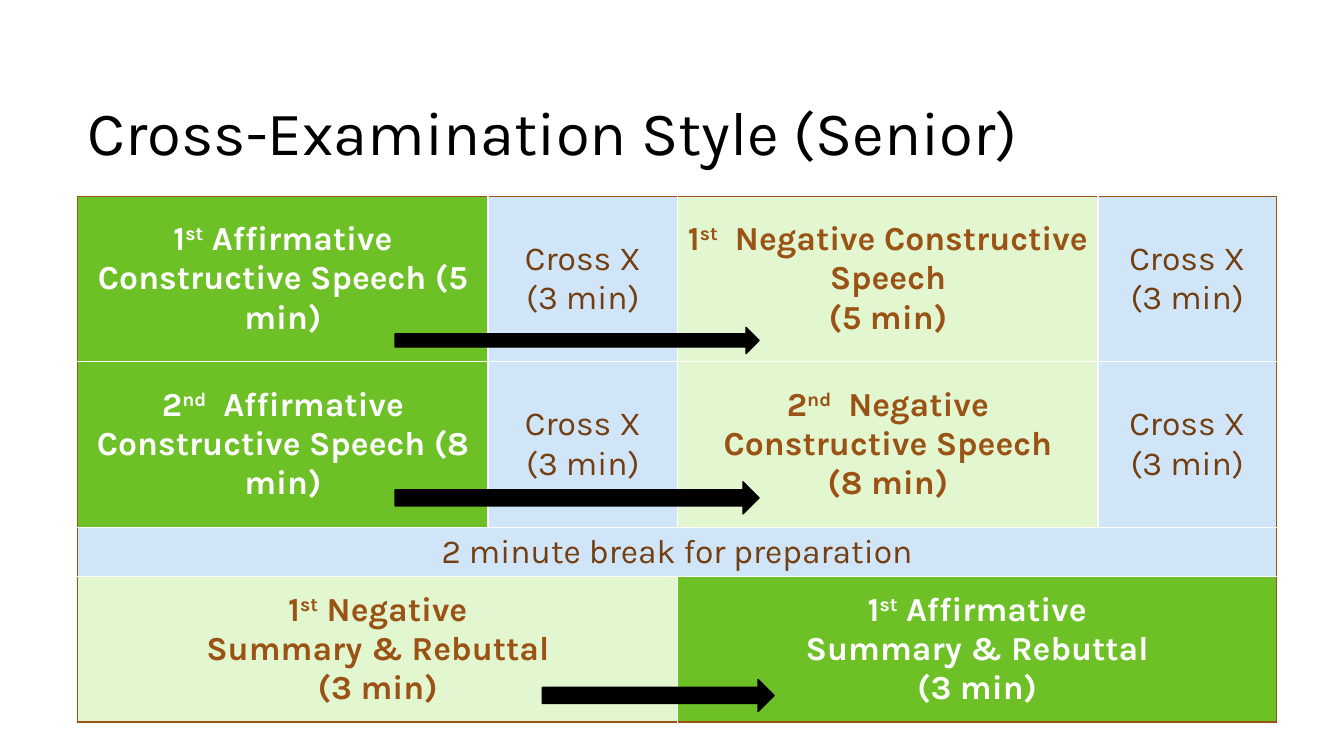
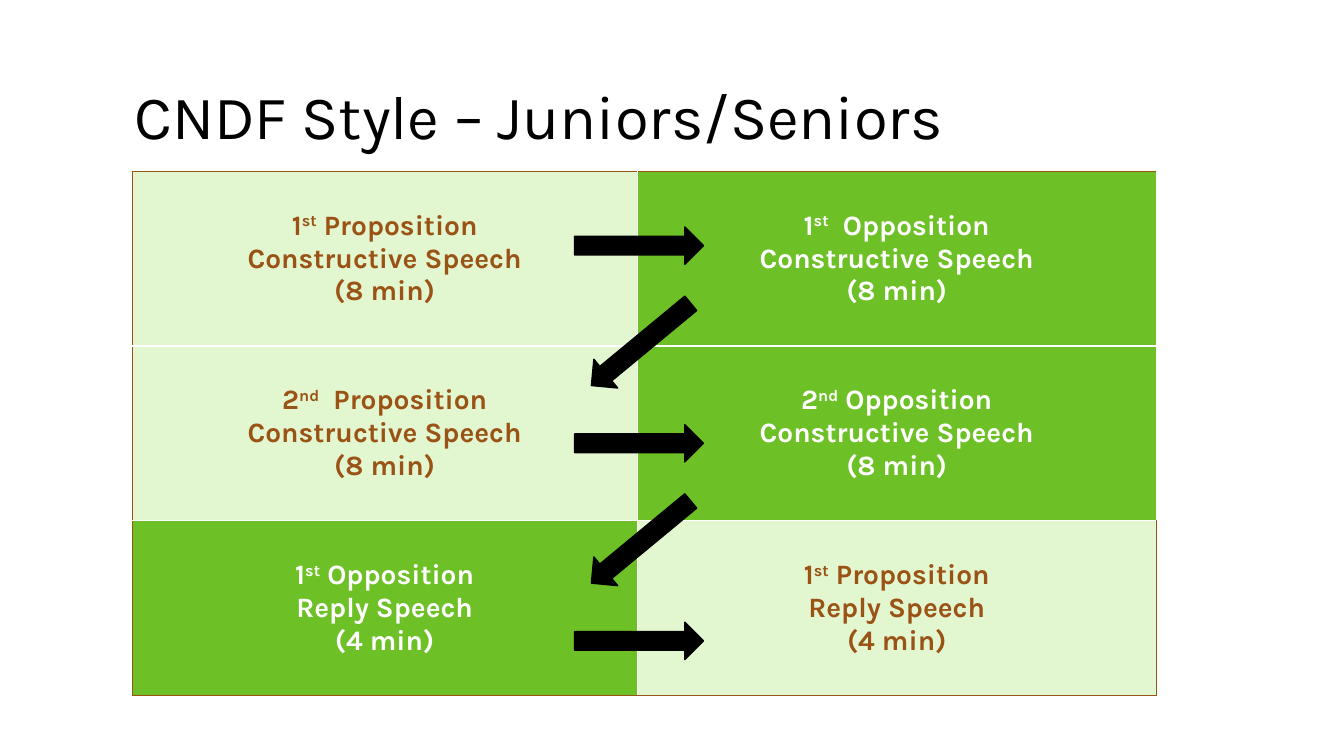
from lxml.etree import SubElement
from pptx import Presentation
from pptx.dml.color import RGBColor
from pptx.enum.shapes import MSO_SHAPE
from pptx.enum.text import MSO_ANCHOR, MSO_AUTO_SIZE, PP_ALIGN
from pptx.oxml.ns import qn
from pptx.util import Cm, Pt

BLACK = RGBColor(0x00, 0x00, 0x00)
WHITE = RGBColor(0xFF, 0xFF, 0xFF)
GREEN = RGBColor(0x6D, 0xC0, 0x25)
PALE = RGBColor(0xE2, 0xF6, 0xD0)
BLUE = RGBColor(0xD1, 0xE5, 0xF9)
BROWN = RGBColor(0x9A, 0x53, 0x15)
DARK = RGBColor(0x73, 0x3E, 0x10)
FONT = "Karla"
STYLES = {
    "dark": (GREEN, WHITE, True),
    "light": (PALE, BROWN, True),
    "break": (BLUE, DARK, False),
}


def write(frame, text, size=24, ink=BLACK, bold=False, align=PP_ALIGN.LEFT, lead=1.0):
    for i, line in enumerate(text.split("\n")):
        para = frame.add_paragraph() if i else frame.paragraphs[0]
        para.alignment = align
        para.line_spacing = lead
        for j, part in enumerate(line.split("^")):
            if not part:
                continue
            run = para.add_run()
            run.text = part
            run.font.name = FONT
            run.font.size = Pt(size)
            run.font.bold = bold
            run.font.color.rgb = ink
            if j % 2:
                run._r.get_or_add_rPr().set("baseline", "30000")


def add_title(slide, text, left, top, width, height):
    title = slide.shapes.title
    title.left, title.top = Cm(left), Cm(top)
    title.width, title.height = Cm(width), Cm(height)
    frame = title.text_frame
    frame.word_wrap = True
    frame.auto_size = MSO_AUTO_SIZE.NONE
    frame.vertical_anchor = MSO_ANCHOR.BOTTOM
    write(frame, text, size=44, lead=0.9)


def set_edges(cell, outer):
    props = cell._tc.get_or_add_tcPr()
    for side in "LRTB":
        line = SubElement(props, qn(f"a:ln{side}"), w=str(Pt(1)))
        fill = SubElement(line, qn("a:solidFill"))
        tone = BROWN if side in outer else WHITE
        SubElement(fill, qn("a:srgbClr"), val=str(tone))


def add_grid(slide, left, top, widths, heights, rows, size, bare=0):
    frame = slide.shapes.add_table(
        len(heights), len(widths), Cm(left), Cm(top), Cm(sum(widths)), Cm(sum(heights))
    )
    table = frame.table
    table.first_row = table.horz_banding = False
    for col, width in zip(table.columns, widths):
        col.width = Cm(width)
    for row, height in zip(table.rows, heights):
        row.height = Cm(height)
    for r, row in enumerate(rows):
        span = len(widths) // len(row)
        for i, (style, text) in enumerate(row):
            first, last = i * span, (i + 1) * span - 1
            outer = "L" if first == 0 else ""
            outer += "R" if last == len(widths) - 1 and r >= bare else ""
            outer += "T" if r == 0 else ""
            outer += "B" if r == len(rows) - 1 else ""
            cell = table.cell(r, first)
            if span > 1:
                cell.merge(table.cell(r, last))
            back, ink, bold = STYLES[style]
            for c in range(first, last + 1):
                part = table.cell(r, c)
                set_edges(part, outer)
                part.fill.solid()
                part.fill.fore_color.rgb = back
            cell.vertical_anchor = MSO_ANCHOR.MIDDLE
            write(cell.text_frame, text, size, ink, bold, PP_ALIGN.CENTER)


def add_arrow(slide, left, top, width, height, turn=0):
    arrow = slide.shapes.add_shape(
        MSO_SHAPE.RIGHT_ARROW, Cm(left), Cm(top), Cm(width), Cm(height)
    )
    arrow.rotation = turn
    arrow.shadow.inherit = False
    arrow.fill.solid()
    arrow.fill.fore_color.rgb = BLACK
    arrow.line.color.rgb = BLACK
    arrow.line.width = Pt(1)


def draw_cross(slide, left, top):
    add_title(slide, "Cross-Examination Style (Senior)", left, top - 3.5, 29.95, 2.92)
    cross = ("break", "Cross X\n(3 min)")
    rows = [
        [
            ("dark", "1^st^ Affirmative Constructive Speech (5 min)"),
            cross,
            ("light", "1^st^  Negative Constructive Speech\n(5 min)"),
            cross,
        ],
        [
            ("dark", "2^nd^  Affirmative Constructive Speech (8 min)"),
            cross,
            ("light", "2^nd^  Negative Constructive Speech\n(8 min)"),
            cross,
        ],
        [("break", "2 minute break for preparation")],
        [
            ("light", "1^st^ Negative\nSummary & Rebuttal\n(3 min)"),
            ("dark", "1^st^ Affirmative\nSummary & Rebuttal\n(3 min)"),
        ],
    ]
    widths = [10.34, 4.78, 10.59, 4.5]
    add_grid(slide, left, top, widths, [4.15, 4.19, 1.24, 3.66], rows, 24)
    add_arrow(slide, left + 8, top + 3.3, 9.17, 0.66)
    add_arrow(slide, left + 8, top + 7.19, 9.17, 0.81)
    add_arrow(slide, left + 11.71, top + 12.17, 5.84, 0.81)


def draw_forum(slide, left, top):
    add_title(slide, "CNDF Style – Juniors/Seniors", left - 0.2, top - 2.85, 27.94, 2.51)
    speech = "Constructive Speech\n(8 min)"
    reply = "Reply Speech\n(4 min)"
    rows = [
        [
            ("light", f"1^st^ Proposition\n{speech}"),
            ("dark", f"1^st^  Opposition\n{speech}"),
        ],
        [
            ("light", f"2^nd^  Proposition\n{speech}"),
            ("dark", f"2^nd^ Opposition\n{speech}"),
        ],
        [
            ("dark", f"1^st^ Opposition\n{reply}"),
            ("light", f"1^st^ Proposition\n{reply}"),
        ],
    ]
    add_grid(slide, left, top, [12.73, 13.08], [4.4] * 3, rows, 20, bare=2)
    step = 4.98
    for i in range(3):
        add_arrow(slide, left + 11.15, top + 1.4 + i * step, 3.25, 0.94)
    for i in range(2):
        add_arrow(slide, left + 11.2, top + 3.89 + i * step, 3.25, 0.94, turn=140.4)


def main():
    deck = Presentation()
    deck.slide_width, deck.slide_height = Cm(33.87), Cm(19.05)
    for draw, left, top in [(draw_cross, 1.96, 4.95), (draw_forum, 3.33, 4.32)]:
        draw(deck.slides.add_slide(deck.slide_layouts[5]), left, top)
    deck.save("out.pptx")


if __name__ == "__main__":
    main()
